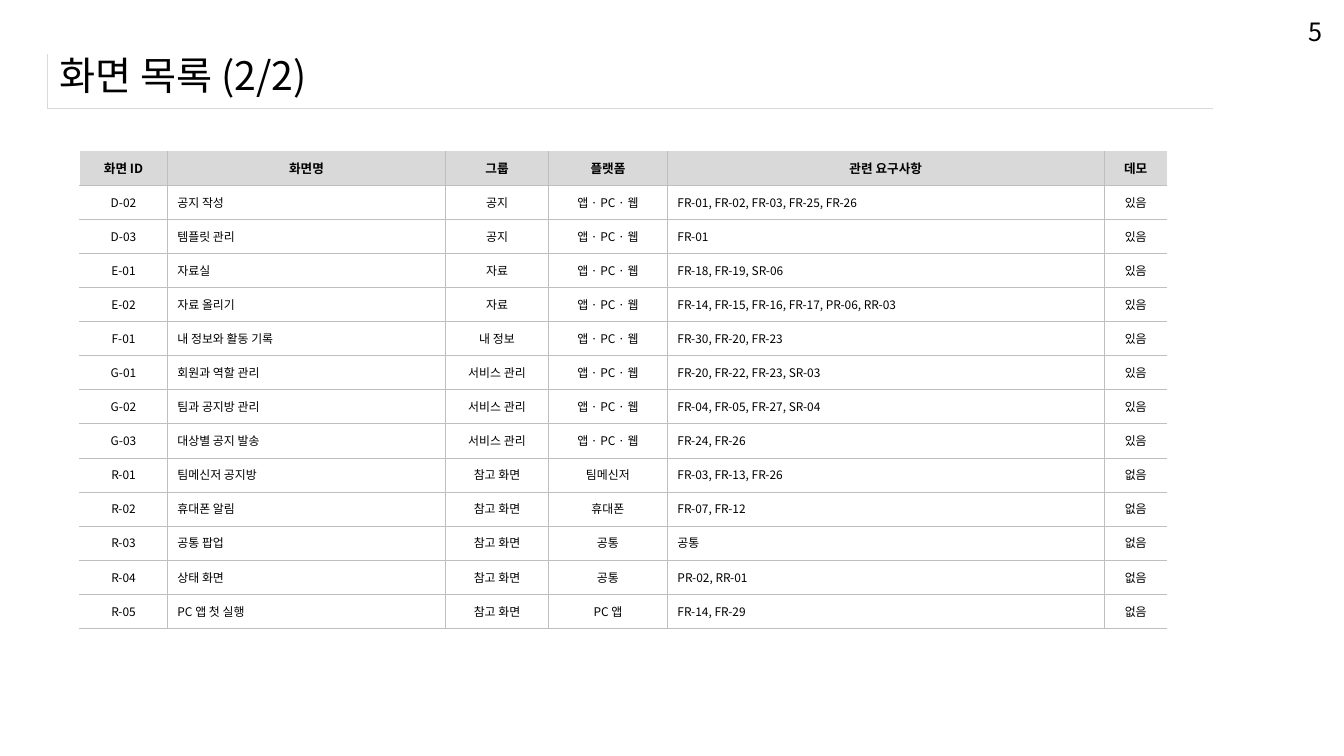
from lxml import etree
from pptx import Presentation, util as u
from pptx.dml.color import RGBColor
from pptx.enum import text
from pptx.oxml import ns

FONT = "Noto Sans CJK KR"
BLACK = RGBColor(0x00, 0x00, 0x00)
WHITE = RGBColor(0xFF, 0xFF, 0xFF)
LIGHT_GRAY = RGBColor(0xD9, 0xD9, 0xD9)
GRID_GRAY = RGBColor(0xBF, 0xBF, 0xBF)
NO_STYLE = "{2D5ABB26-0587-4C30-8999-92F81FD0307C}"
HAIRLINE = 0.25

ALL_PLATFORMS = "앱 · PC · 웹"
HEADINGS = ["화면 ID", "화면명", "그룹", "플랫폼", "관련 요구사항", "데모"]
SCREENS = [
    ("D-02", "공지 작성", "공지", ALL_PLATFORMS, "FR-01, FR-02, FR-03, FR-25, FR-26", "있음"),
    ("D-03", "템플릿 관리", "공지", ALL_PLATFORMS, "FR-01", "있음"),
    ("E-01", "자료실", "자료", ALL_PLATFORMS, "FR-18, FR-19, SR-06", "있음"),
    ("E-02", "자료 올리기", "자료", ALL_PLATFORMS, "FR-14, FR-15, FR-16, FR-17, PR-06, RR-03", "있음"),
    ("F-01", "내 정보와 활동 기록", "내 정보", ALL_PLATFORMS, "FR-30, FR-20, FR-23", "있음"),
    ("G-01", "회원과 역할 관리", "서비스 관리", ALL_PLATFORMS, "FR-20, FR-22, FR-23, SR-03", "있음"),
    ("G-02", "팀과 공지방 관리", "서비스 관리", ALL_PLATFORMS, "FR-04, FR-05, FR-27, SR-04", "있음"),
    ("G-03", "대상별 공지 발송", "서비스 관리", ALL_PLATFORMS, "FR-24, FR-26", "있음"),
    ("R-01", "팀메신저 공지방", "참고 화면", "팀메신저", "FR-03, FR-13, FR-26", "없음"),
    ("R-02", "휴대폰 알림", "참고 화면", "휴대폰", "FR-07, FR-12", "없음"),
    ("R-03", "공통 팝업", "참고 화면", "공통", "공통", "없음"),
    ("R-04", "상태 화면", "참고 화면", "공통", "PR-02, RR-01", "없음"),
    ("R-05", "PC 앱 첫 실행", "참고 화면", "PC 앱", "FR-14, FR-29", "없음"),
]
COLUMN_WIDTHS = [0.87, 2.76, 1.02, 1.18, 4.33, 0.63]
LEFT_ALIGNED = (1, 4)


def write(frame, words, size, bold=False, align=text.PP_ALIGN.LEFT):
    """Put one formatted paragraph in a text frame."""
    frame.text = words
    para = frame.paragraphs[0]
    para.alignment = align
    span = para.runs[0]
    span.font.name = FONT
    span.font.size = u.Pt(size)
    span.font.bold = bold
    span.font.color.rgb = BLACK
    span.font._element.set("kern", "0")
    east_asian = etree.SubElement(span.font._element, ns.qn("a:ea"))
    east_asian.set("typeface", FONT)


def add_border(cell, side, color, width=HAIRLINE):
    """Draw one side of a cell: L, R, T or B, in that order."""
    line = etree.SubElement(cell._tc.get_or_add_tcPr(), ns.qn("a:ln" + side))
    line.set("w", str(u.Pt(width)))
    fill = etree.SubElement(line, ns.qn("a:solidFill"))
    etree.SubElement(fill, ns.qn("a:srgbClr")).set("val", str(color))


deck = Presentation()
deck.slide_width, deck.slide_height = u.Inches(13.33), u.Inches(7.5)
page = deck.slides.add_slide(deck.slide_layouts[5])

# Title frame and screen table, both without a built-in style
rows = [HEADINGS] + SCREENS
tables = []
for row_count, column_count, place in (
        (1, 1, (0.47, 0.54, 11.56, 0.53)),
        (len(rows), len(HEADINGS), (0.79, 1.5, sum(COLUMN_WIDTHS), 4.73))):
    table = page.shapes.add_table(row_count, column_count, *(u.Inches(n) for n in place)).table
    table.horz_banding = False
    table._tbl.tblPr.find(ns.qn("a:tableStyleId")).text = NO_STYLE
    tables.append(table)
title_frame, screen_table = tables

# Title frame: left edge and underline only
frame_cell = title_frame.cell(0, 0)
for side in "LB":
    add_border(frame_cell, side, LIGHT_GRAY)
frame_cell.fill.background()

# Title
title = page.shapes.title
title.left, title.top, title.width, title.height = (u.Inches(n) for n in (0.5, 0.41, 12.49, 0.67))
title.text_frame.vertical_anchor = text.MSO_ANCHOR.MIDDLE
title.text_frame.margin_left = u.Inches(0.09)
write(title.text_frame, "화면 목록 (2/2)", 28)

# Page number
number = page.shapes.add_textbox(*(u.Inches(n) for n in (12.88, 0.12, 0.27, 0.25)))
number.text_frame.word_wrap = True
number.text_frame.margin_top = u.Inches(0.04)
number.text_frame.margin_bottom = number.text_frame.margin_right = 0
write(number.text_frame, "5", 18)

# Screen table
for column, width in zip(screen_table.columns, COLUMN_WIDTHS):
    column.width = u.Inches(width)

for row_index, row in enumerate(rows):
    is_header = row_index == 0
    for column_index, words in enumerate(row):
        cell = screen_table.cell(row_index, column_index)
        cell.vertical_anchor = text.MSO_ANCHOR.MIDDLE
        is_left = column_index in LEFT_ALIGNED and not is_header
        write(cell.text_frame, words, 9 if is_header else 8.5, is_header,
              text.PP_ALIGN.LEFT if is_left else text.PP_ALIGN.CENTER)

        # Grid lines, open at the outer sides and the top
        if column_index == 0:
            add_border(cell, "L", WHITE, 1)
        else:
            add_border(cell, "L", GRID_GRAY)
        if column_index < len(HEADINGS) - 1:
            add_border(cell, "R", GRID_GRAY)
        if not is_header:
            add_border(cell, "T", GRID_GRAY)
        add_border(cell, "B", GRID_GRAY)

        if is_header:
            cell.fill.solid()
            cell.fill.fore_color.rgb = LIGHT_GRAY
        else:
            cell.fill.background()

deck.save("out.pptx")
